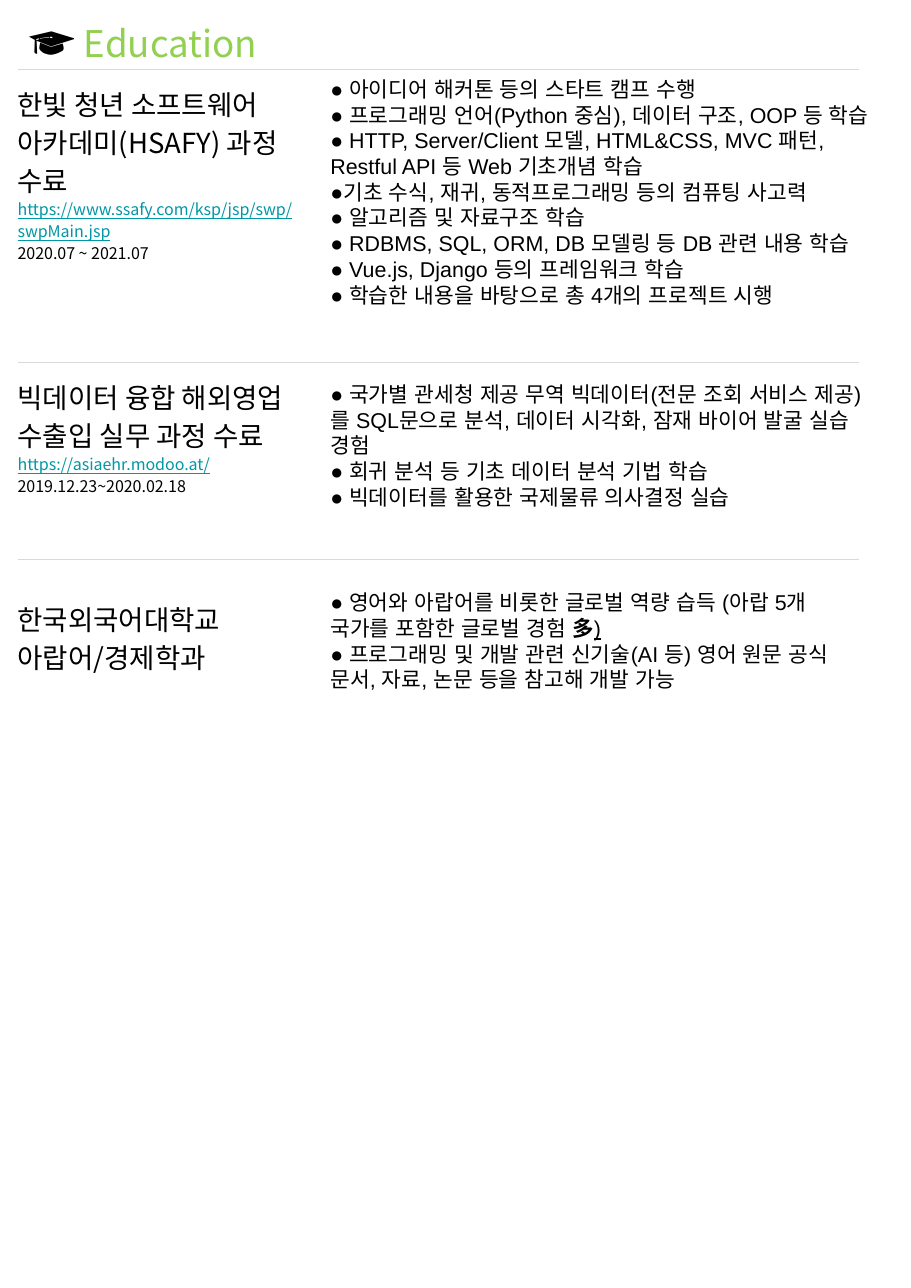
from pptx import Presentation
from pptx.dml.color import RGBColor
from pptx.enum.shapes import MSO_CONNECTOR as Conn
from pptx.enum.text import MSO_AUTO_SIZE as Fit
from pptx.oxml.ns import qn
from pptx.util import Inches, Pt
from lxml.etree import SubElement

BLACK = RGBColor(0, 0, 0)
GREEN = RGBColor(0x92, 0xD0, 0x50)
TEAL = RGBColor(0x00, 0x97, 0xA7)
GRAY = RGBColor(0xD9, 0xD9, 0xD9)
SANS, NOTO = "Arial", "Noto Sans CJK KR"

FORMATS = {
    "icon": dict(size=Pt(32), name=SANS, color=BLACK),
    "gap": dict(size=Pt(18), name=SANS, color=BLACK),
    "title": dict(size=Pt(24), name=NOTO, color=GREEN),
    "course": dict(size=Pt(18), name=NOTO, color=BLACK),
    "link": dict(size=Pt(10.5), name=NOTO, color=TEAL, underline=True),
    "date": dict(size=Pt(10.5), name=NOTO, color=BLACK),
    "point": dict(size=Pt(14), name=SANS, color=BLACK),
    "bold": dict(size=Pt(14), name=SANS, color=BLACK, bold=True),
    "under": dict(size=Pt(14), name=SANS, color=BLACK, underline=True),
}

TITLE = [[("icon", "🎓"), ("gap", " "), ("title", "Education")]]

COURSES = [
    dict(
        rule=0.63, left=(0.75, 1.67), right=(0.64, 2.46),
        head=[
            ("course", "한빛 청년 소프트웨어 아카데미(HSAFY) 과정 수료"),
            ("link", "https://www.ssafy.com/ksp/jsp/swp/swpMain.jsp"),
            ("date", "2020.07 ~ 2021.07"),
        ],
        points=[
            "● 아이디어 해커톤 등의 스타트 캠프 수행",
            "● 프로그래밍 언어(Python 중심), 데이터 구조, OOP 등 학습",
            "● HTTP, Server/Client 모델, HTML&CSS, MVC 패턴, Restful API 등 Web 기초개념 학습",
            "●기초 수식, 재귀, 동적프로그래밍 등의 컴퓨팅 사고력",
            "● 알고리즘 및 자료구조 학습",
            "● RDBMS, SQL, ORM, DB 모델링 등 DB 관련 내용 학습",
            "● Vue.js, Django 등의 프레임워크 학습",
            "● 학습한 내용을 바탕으로 총 4개의 프로젝트 시행",
        ],
    ),
    dict(
        rule=3.29, left=(3.41, 1.67), right=(3.41, 1.28),
        head=[
            ("course", "빅데이터 융합 해외영업 수출입 실무 과정 수료"),
            ("link", "https://asiaehr.modoo.at/"),
            ("date", "2019.12.23~2020.02.18"),
        ],
        points=[
            "● 국가별 관세청 제공 무역 빅데이터(전문 조회 서비스 제공)를 SQL문으로 분석, 데이터 시각화, 잠재 바이어 발굴 실습 경험",
            "● 회귀 분석 등 기초 데이터 분석 기법 학습",
            "● 빅데이터를 활용한 국제물류 의사결정 실습",
        ],
    ),
    dict(
        rule=5.08, left=(5.43, 1.28), right=(5.3, 1.04),
        head=[("course", "한국외국어대학교"), ("course", "아랍어/경제학과")],
        points=[
            [
                ("point", "● 영어와 아랍어를 비롯한 글로벌 역량 습득 (아랍 5개 국가를 포함한 글로벌 경험 "),
                ("bold", "多"),
                ("under", ")"),
            ],
            "● 프로그래밍 및 개발 관련 신기술(AI 등) 영어 원문 공식 문서, 자료, 논문 등을 참고해 개발 가능",
        ],
    ),
]


def add_run(para, kind, text):
    run = para.add_run()
    run.text = text
    for key, val in FORMATS[kind].items():
        if key == "color":
            run.font.color.rgb = val
        else:
            setattr(run.font, key, val)
    east = SubElement(run.font._element, qn("a:ea"))
    east.set("typeface", FORMATS[kind]["name"])


def add_text(slide, place, paras, flush):
    frame = slide.shapes.add_textbox(*map(Inches, place)).text_frame
    frame.word_wrap = True
    frame.auto_size = Fit.NONE if flush else Fit.SHAPE_TO_FIT_TEXT
    if flush:
        for side in ("left", "top", "right", "bottom"):
            setattr(frame, "margin_" + side, 0)
    for num, runs in enumerate(paras):
        para = frame.add_paragraph() if num else frame.paragraphs[0]
        if flush:
            para.line_spacing = 1.15
        for kind, text in runs:
            add_run(para, kind, text)


def add_rule(slide, top):
    ends = map(Inches, (0.16, top, 7.8, top))
    rule = slide.shapes.add_connector(Conn.STRAIGHT, *ends)
    rule.line.color.rgb = GRAY
    rule.line.width = Pt(0.75)
    SubElement(rule._element.spPr, qn("a:effectLst"))


def main():
    deck = Presentation()
    deck.slide_width, deck.slide_height = Inches(8.27), Inches(11.69)
    slide = deck.slides.add_slide(deck.slide_layouts[6])
    add_text(slide, (0.25, 0, 5.86, 0.63), TITLE, True)
    for course in COURSES:
        add_rule(slide, course["rule"])
        top, high = course["left"]
        add_text(slide, (0.16, top, 2.58, high), [[run] for run in course["head"]], True)
        top, high = course["right"]
        points = [[("point", item)] if isinstance(item, str) else item for item in course["points"]]
        add_text(slide, (2.9, top, 5.09, high), points, False)
    deck.save("out.pptx")


if __name__ == "__main__":
    main()
